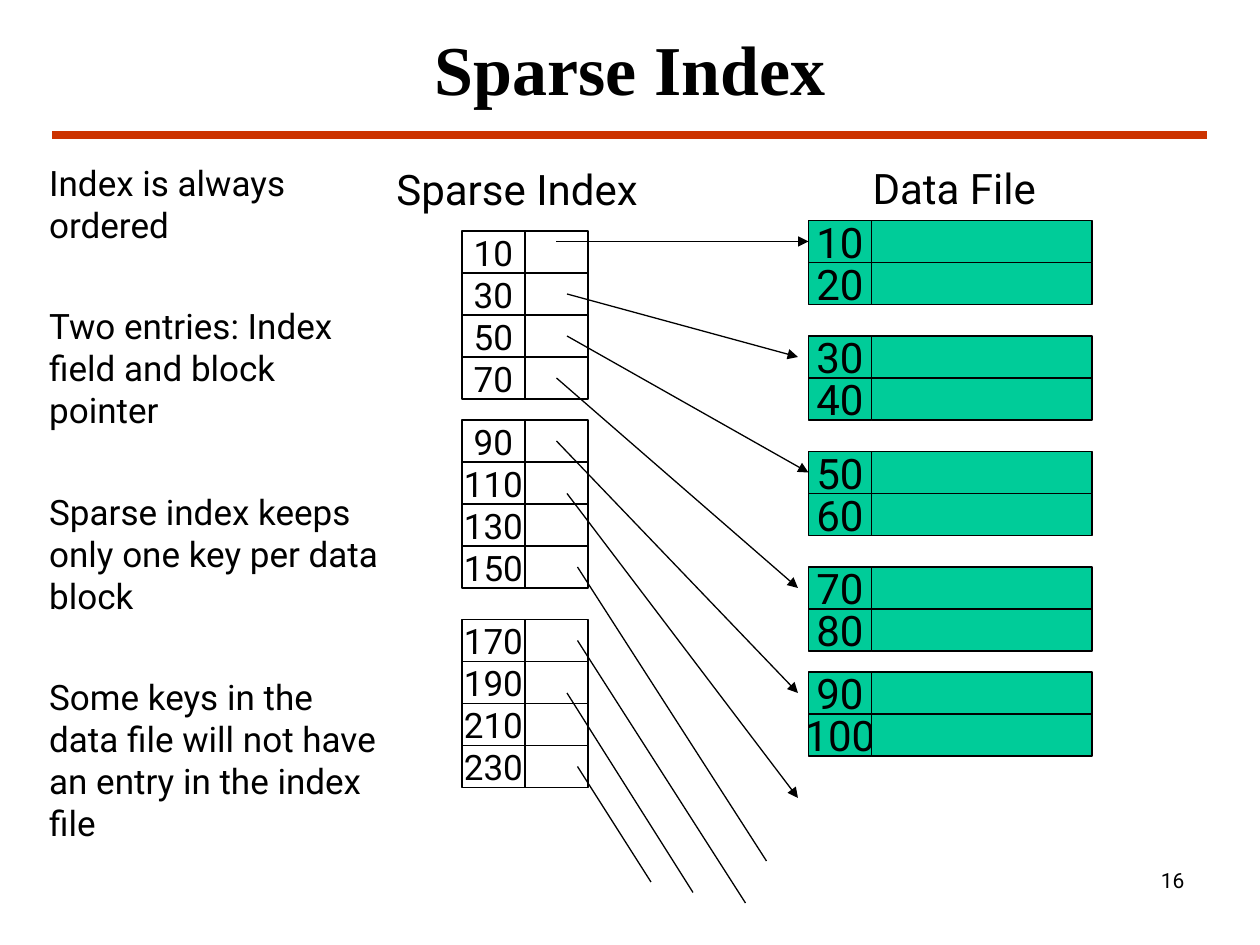
from dataclasses import dataclass

from lxml.etree import SubElement
from pptx import Presentation
from pptx.dml.color import RGBColor
from pptx.enum.shapes import MSO_CONNECTOR as Connector, MSO_SHAPE as Shape
from pptx.enum.text import MSO_ANCHOR as Anchor, MSO_AUTO_SIZE as AutoSize, PP_ALIGN as Align
from pptx.oxml.ns import qn
from pptx.util import Pt

EMU_PER_PX = 9525  # 96 px to the inch


@dataclass(frozen=True)
class Theme:
    ink: str = "000000"
    rule: str = "CC3300"
    index_fill: str = "FFFFFF"
    data_fill: str = "00CC99"
    body_font: str = "Roboto"
    title_font: str = "Times New Roman"
    title_size: int = 40
    heading_size: int = 24
    body_size: int = 20
    number_size: int = 12
    note_gap: int = 34
    thin: float = 0.75
    thick: float = 4.5


THEME = Theme()

ROW_HEIGHT = 32
KEY_WIDTH = 48
INDEX_LEFT, POINTER_WIDTH = 352, 48
DATA_LEFT, RECORD_WIDTH = 616, 168

NOTES = [
    "Index is always ordered",
    "Two entries: Index field and block pointer",
    "Sparse index keeps only one key per data block",
    "Some keys in the data file will not have an entry in the index file",
]
# top of each block: its keys
INDEX_BLOCKS = {
    176: [10, 30, 50, 70],
    320: [90, 110, 130, 150],
    472: [170, 190, 210, 230],
}
DATA_BLOCKS = {168: [10, 20], 256: [30, 40], 344: [50, 60], 432: [70, 80], 512: [90, 100]}

# start, then the key of the data cell whose left side is met
JOINED_POINTERS = [((424, 184), 10), ((432, 256), 50)]
FREE_POINTERS = [
    ((432, 224), (608, 272)),
    ((424, 288), (608, 448)),
    ((432, 376), (608, 608)),
    ((424, 336), (608, 528)),
]
DANGLING_POINTERS = [
    ((440, 432), (584, 656)),
    ((440, 584), (496, 672)),
    ((432, 528), (528, 680)),
    ((440, 488), (568, 688)),
]


def px(*lengths):
    return [length * EMU_PER_PX for length in lengths]


def color(code):
    return RGBColor.from_string(code)


def write(holder, *texts, size, font=THEME.body_font, bold=False, align=Align.LEFT,
          anchor=Anchor.TOP, wrap=True, gap=0):
    """Fill a shape with paragraphs, with gap points between them."""
    frame = holder.text_frame
    frame.auto_size = AutoSize.NONE
    frame.word_wrap = wrap
    frame.vertical_anchor = anchor
    for number, text in enumerate(texts):
        para = frame.add_paragraph() if number else frame.paragraphs[0]
        para.alignment = align
        para.space_before = Pt(gap if number else 0)
        span = para.add_run()
        span.text = text
        span.font.name = font
        span.font.size = Pt(size)
        span.font.bold = bold
        span.font.color.rgb = color(THEME.ink)


def add_text(shapes, bounds, *texts, **style):
    write(shapes.add_textbox(*px(*bounds)), *texts, **style)


def add_heading(shapes, bounds, text):
    add_text(shapes, bounds, text, size=THEME.heading_size, align=Align.CENTER,
             anchor=Anchor.MIDDLE, wrap=False)


def add_cell(shapes, bounds, fill):
    cell = shapes.add_shape(Shape.RECTANGLE, *px(*bounds))
    cell.shadow.inherit = False
    cell.fill.solid()
    cell.fill.fore_color.rgb = color(fill)
    cell.line.color.rgb = color(THEME.ink)
    cell.line.width = Pt(THEME.thin)
    return cell


def add_block(shapes, left, top, keys, value_width, fill, size):
    """Draw one row per key and return the key cells by key."""
    key_cells = {}
    for row, key in enumerate(keys):
        y = top + row * ROW_HEIGHT
        key_cells[key] = add_cell(shapes, (left, y, KEY_WIDTH, ROW_HEIGHT), fill)
        write(key_cells[key], str(key), size=size, align=Align.CENTER,
              anchor=Anchor.MIDDLE, wrap=False)
        add_cell(shapes, (left + KEY_WIDTH, y, value_width, ROW_HEIGHT), fill)
    return key_cells


def add_line(shapes, start, end, line_color=THEME.ink, width=THEME.thin, arrow=False):
    line = shapes.add_connector(Connector.STRAIGHT, *px(*start, *end))
    line.line.color.rgb = color(line_color)
    line.line.width = Pt(width)
    if arrow:
        SubElement(line.line._get_or_add_ln(), qn("a:tailEnd"), type="triangle")
    SubElement(line._element.spPr, qn("a:effectLst"))
    return line


def add_title(page, text):
    title = page.shapes.title
    title.left, title.top, title.width, title.height = px(17, 16, 926, 72)
    write(title, text, size=THEME.title_size, font=THEME.title_font, bold=True,
          align=Align.CENTER, anchor=Anchor.BOTTOM)


def add_index(shapes):
    add_heading(shapes, (287, 120, 214, 48), "Sparse Index")
    for top, keys in INDEX_BLOCKS.items():
        block = shapes.add_group_shape()
        add_block(block.shapes, INDEX_LEFT, top, keys, POINTER_WIDTH,
                  THEME.index_fill, THEME.body_size)


def add_data_file(shapes):
    add_heading(shapes, (652, 119, 150, 48), "Data File")
    key_cells = {}
    for top, keys in DATA_BLOCKS.items():
        key_cells |= add_block(shapes, DATA_LEFT, top, keys, RECORD_WIDTH,
                               THEME.data_fill, THEME.heading_size)
    return key_cells


def add_pointers(shapes, key_cells):
    for start, key in JOINED_POINTERS:
        add_line(shapes, start, start, arrow=True).end_connect(key_cells[key], 1)
    for start, end in FREE_POINTERS:
        add_line(shapes, start, end, arrow=True)
    for start, end in DANGLING_POINTERS:
        add_line(shapes, start, end)


def main():
    deck = Presentation()
    deck.slide_width, deck.slide_height = px(960, 720)
    page = deck.slides.add_slide(deck.slide_layouts[5])
    shapes = page.shapes

    add_title(page, "Sparse Index")
    add_line(shapes, (40, 103), (920, 103), THEME.rule, THEME.thick)
    add_text(shapes, (688, 656, 224, 50), "16", size=THEME.number_size, align=Align.RIGHT)
    add_index(shapes)
    data_file = shapes.add_group_shape().shapes
    add_pointers(data_file, add_data_file(data_file))
    add_text(shapes, (28, 118, 272, 568), *NOTES, size=THEME.body_size, gap=THEME.note_gap)

    deck.save("out.pptx")


if __name__ == "__main__":
    main()
